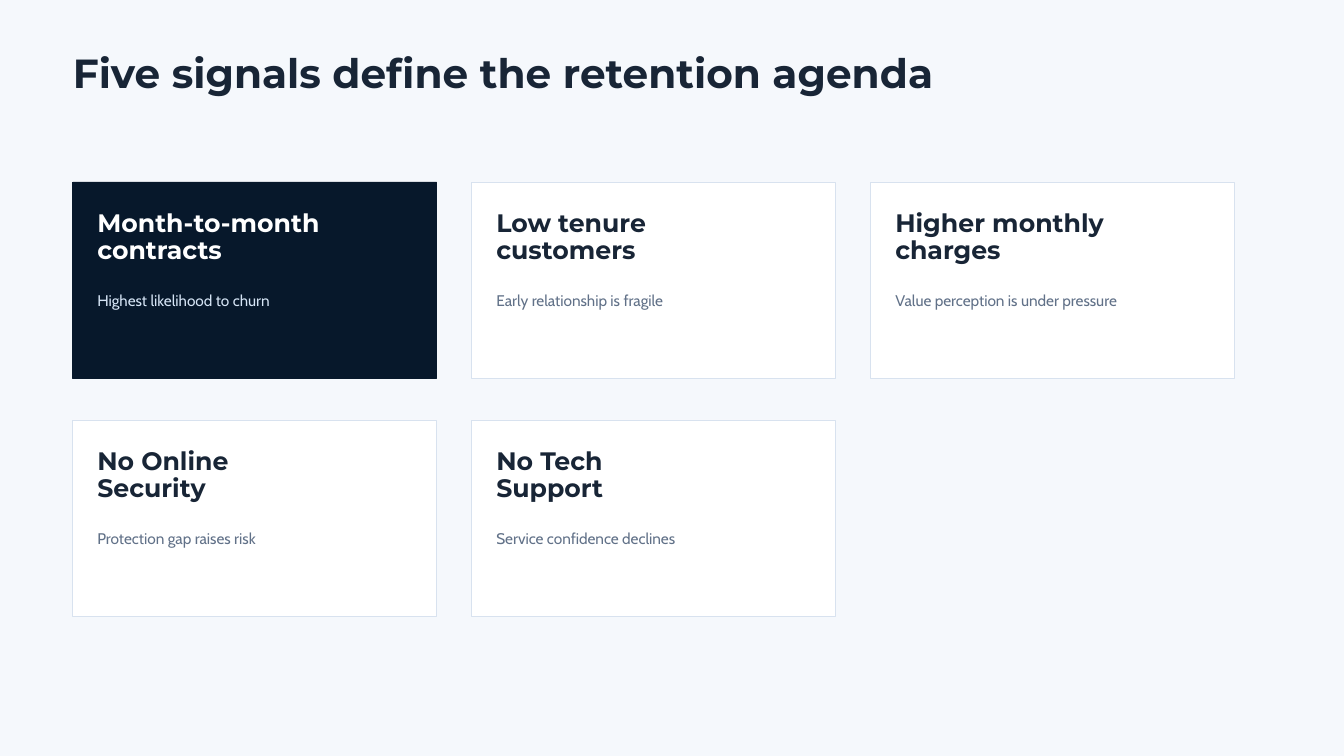
from dataclasses import dataclass

from pptx import Presentation
from pptx.dml.color import RGBColor
from pptx.enum.shapes import MSO_SHAPE as Shape
from pptx.enum.text import MSO_ANCHOR as Anchor, MSO_AUTO_SIZE as AutoSize, PP_ALIGN as Align
from pptx.util import Pt

TITLE = "Five signals define the retention agenda"
SIGNALS = [  # heading lines, note
    (["Month-to-month", "contracts"], "Highest likelihood to churn"),
    (["Low tenure", "customers"], "Early relationship is fragile"),
    (["Higher monthly", "charges"], "Value perception is under pressure"),
    (["No Online", "Security"], "Protection gap raises risk"),
    (["No Tech", "Support"], "Service confidence declines"),
]


@dataclass(frozen=True)
class TextStyle:
    font: str
    size: float
    leading: float
    bold: bool


@dataclass(frozen=True)
class CardColors:
    fill: str
    line: str
    heading: str
    note: str


class Theme:
    background = "F5F8FC"
    ink = "182536"
    title = TextStyle("Montserrat", 43.5, 47, True)
    heading = TextStyle("Montserrat", 27, 29.2, True)
    note = TextStyle("Cabin", 16.5, 21.4, False)
    lead_card = CardColors("07182B", "07182B", "FFFFFF", "D5E4F5")
    plain_card = CardColors("FFFFFF", "D8E2EF", ink, "617188")


# Card grid, in points
COLUMNS = 3
LEFT, TOP = 78, 195
CARD_WIDTH, CARD_HEIGHT = 390, 210
GAP_X, GAP_Y = 37.5, 45
TEXT_INSET, TEXT_WIDTH = 26.25, 330
HEADING_OFFSET, NOTE_OFFSET = 30, 115.5


def place(shape, left, top, width, height):
    shape.left, shape.top = Pt(left), Pt(top)
    shape.width, shape.height = Pt(width), Pt(height)


def write(shape, lines, style, color):
    frame = shape.text_frame
    frame.margin_left = frame.margin_right = frame.margin_top = frame.margin_bottom = 0
    frame.word_wrap = True
    frame.auto_size = AutoSize.NONE
    frame.vertical_anchor = Anchor.TOP
    frame.text = "\n".join(lines)
    for paragraph in frame.paragraphs:
        paragraph.alignment = Align.LEFT
        paragraph.line_spacing = Pt(style.leading)
        paragraph.space_before = Pt(0)
        paragraph.font.name = style.font
        paragraph.font.size = Pt(style.size)
        paragraph.font.bold = style.bold
        paragraph.font.color.rgb = RGBColor.from_string(color)


def add_text(shapes, left, top, lines, style, color):
    box = shapes.add_textbox(Pt(left), Pt(top), Pt(TEXT_WIDTH), Pt(style.leading * len(lines)))
    write(box, lines, style, color)


def add_card(slide, left, top, heading, note, colors):
    shapes = slide.shapes.add_group_shape().shapes
    card = shapes.add_shape(Shape.RECTANGLE, Pt(left), Pt(top), Pt(CARD_WIDTH), Pt(CARD_HEIGHT))
    card.shadow.inherit = False
    card.fill.solid()
    card.fill.fore_color.rgb = RGBColor.from_string(colors.fill)
    card.line.color.rgb = RGBColor.from_string(colors.line)
    card.line.width = Pt(0.75)
    text_left = left + TEXT_INSET
    add_text(shapes, text_left, top + HEADING_OFFSET, heading, Theme.heading, colors.heading)
    add_text(shapes, text_left, top + NOTE_OFFSET, [note], Theme.note, colors.note)


def main():
    presentation = Presentation()
    presentation.slide_width, presentation.slide_height = Pt(1440), Pt(810)
    slide = presentation.slides.add_slide(presentation.slide_layouts[5])
    slide.background.fill.solid()
    slide.background.fill.fore_color.rgb = RGBColor.from_string(Theme.background)

    # Title
    place(slide.shapes.title, LEFT, 57, 1035, 47.5)
    write(slide.shapes.title, [TITLE], Theme.title, Theme.ink)

    # Signal cards, the first one emphasised
    for index, (heading, note) in enumerate(SIGNALS):
        row, column = divmod(index, COLUMNS)
        left = LEFT + column * (CARD_WIDTH + GAP_X)
        top = TOP + row * (CARD_HEIGHT + GAP_Y)
        colors = Theme.lead_card if index == 0 else Theme.plain_card
        add_card(slide, left, top, heading, note, colors)

    presentation.save("out.pptx")


if __name__ == "__main__":
    main()
